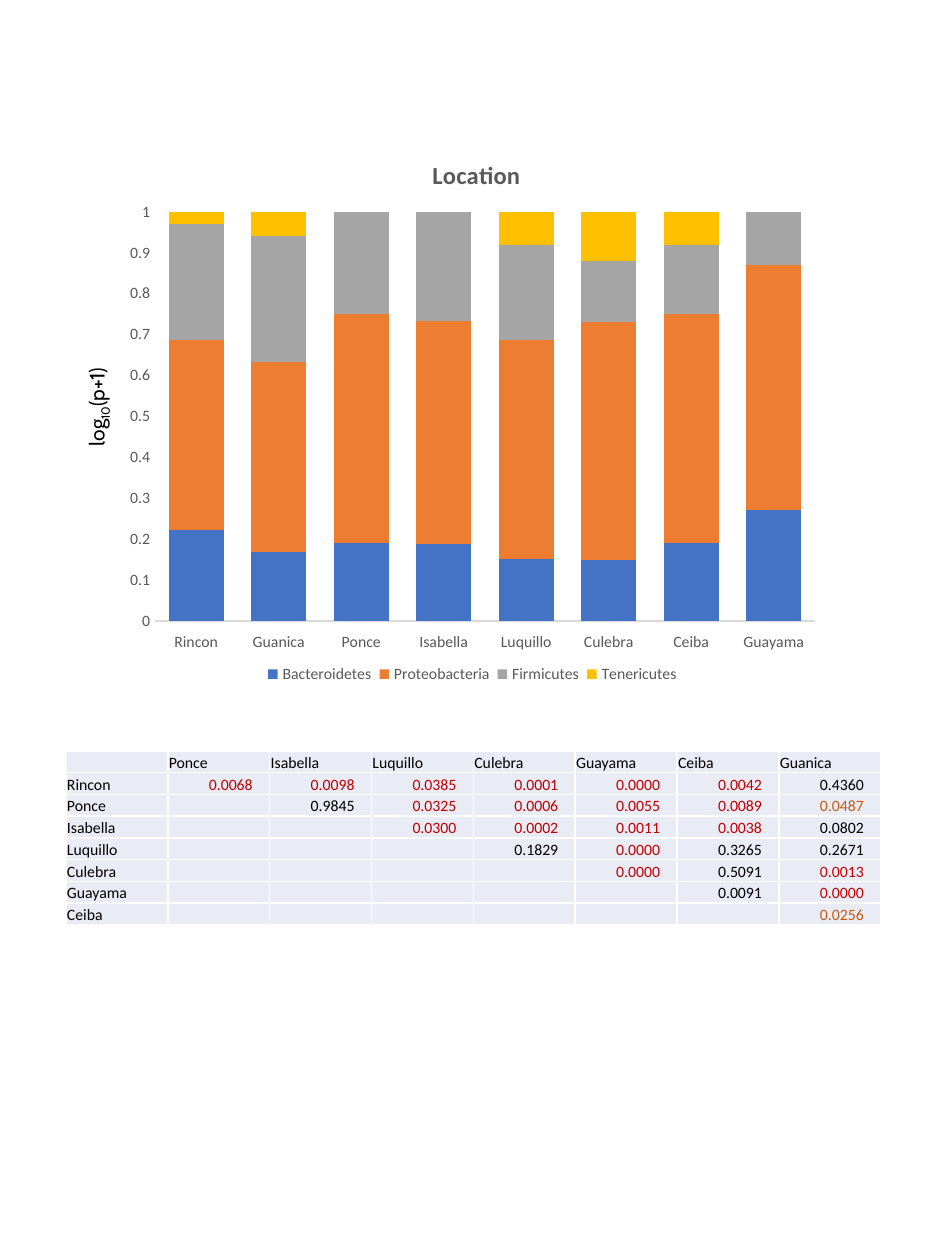
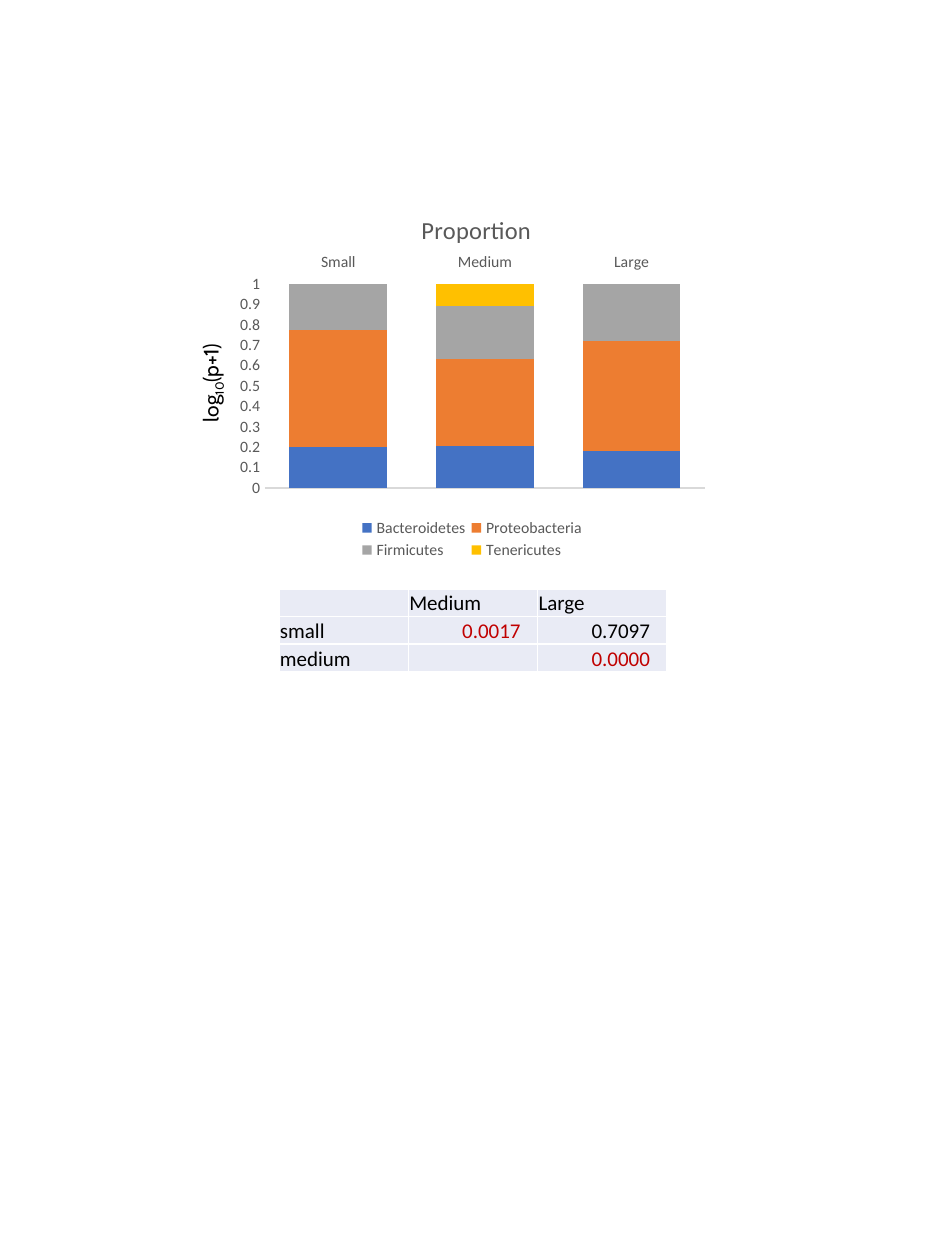
from dataclasses import dataclass

from lxml import etree
from pptx import Presentation
from pptx.chart.data import CategoryChartData
from pptx.dml.color import RGBColor
from pptx.enum.chart import XL_CHART_TYPE, XL_LEGEND_POSITION, XL_TICK_LABEL_POSITION, XL_TICK_MARK
from pptx.enum.text import MSO_ANCHOR, PP_ALIGN
from pptx.oxml.ns import qn
from pptx.util import Emu, Pt

STACKED = XL_CHART_TYPE.COLUMN_STACKED_100
BOTTOM = XL_LEGEND_POSITION.BOTTOM
LABELS_HIGH, LABELS_LOW = XL_TICK_LABEL_POSITION.HIGH, XL_TICK_LABEL_POSITION.LOW
NO_TICK = XL_TICK_MARK.NONE
ANCHOR_BOTTOM, ANCHOR_TOP = MSO_ANCHOR.BOTTOM, MSO_ANCHOR.TOP
LEFT, RIGHT = PP_ALIGN.LEFT, PP_ALIGN.RIGHT


@dataclass(frozen=True)
class Theme:
    font: str = "Calibri"
    measure_font: str = "Cabin"
    ink: str = "000000"
    muted: str = "595959"
    axis: str = "D9D9D9"
    cell: str = "E9EBF5"
    border: str = "FFFFFF"
    strong: str = "C00000"
    weak: str = "C55A11"
    phyla: tuple = ("4472C4", "ED7D31", "A5A5A5", "FFC000")
    title_size: int = 14
    label_size: int = 9
    measure_size: int = 12


THEME = Theme()
EMU_PER_PIXEL = 914400 / 126
PAGE = (945, 1260)
NUMBER_INSET = 17

PHYLA = ("Bacteroidetes", "Proteobacteria", "Firmicutes", "Tenericutes")
MEASURE = (("log", 0), ("10", -25), ("(p+1)", 0))
MARKS = {"*": THEME.strong, "~": THEME.weak}

PAGES = [
    {
        "title": "Location",
        "bold": True,
        "groups": ("Rincon", "Guanica", "Ponce", "Isabella",
                   "Luquillo", "Culebra", "Ceiba", "Guayama"),
        "shares": (
            (22, 17, 19, 19, 15, 15, 19, 27),
            (46, 47, 56, 55, 53, 58, 56, 60),
            (28, 31, 25, 27, 23, 15, 17, 13),
            (3, 6, 0, 0, 8, 12, 8, 0),
        ),
        "labels": LABELS_LOW,
        "chart": (116, 129, 713, 564),
        "plot": (155, 212, 660, 409),
        "heading": (428, 154),
        "legend": (260, 667, 425, 22),
        "measure": (38, 381, 117, 38),
        "table": (66, 751, 815, 174),
        "table_size": 9,
        "p_columns": ("Ponce", "Isabella", "Luquillo", "Culebra", "Guayama", "Ceiba", "Guanica"),
        "p_rows": (
            ("Rincon", "0.0068*", "0.0098*", "0.0385*", "0.0001*", "0.0000*", "0.0042*", "0.4360"),
            ("Ponce", "0.9845", "0.0325*", "0.0006*", "0.0055*", "0.0089*", "0.0487~"),
            ("Isabella", "0.0300*", "0.0002*", "0.0011*", "0.0038*", "0.0802"),
            ("Luquillo", "0.1829", "0.0000*", "0.3265", "0.2671"),
            ("Culebra", "0.0000*", "0.5091", "0.0013*"),
            ("Guayama", "0.0091", "0.0000*"),
            ("Ceiba", "0.0256~"),
        ),
    },
    {
        "title": "Proportion",
        "bold": False,
        "groups": ("Small", "Medium", "Large"),
        "shares": ((20, 21, 18), (58, 43, 54), (23, 26, 28), (0, 11, 0)),
        "labels": LABELS_HIGH,
        "chart": (231, 186, 484, 378),
        "plot": (265, 284, 440, 204),
        "heading": (417, 209),
        "legend": (356, 515, 232, 48),
        "measure": (152, 357, 117, 38),
        "table": (279, 589, 388, 83),
        "table_size": 12,
        "p_columns": ("Medium", "Large"),
        "p_rows": (("small", "0.0017*", "0.7097"), ("medium", "0.0000*")),
    },
]


def px(value):
    return Emu(round(value * EMU_PER_PIXEL))


def box(area):
    return [px(value) for value in area]


def style(font, size, color, name=THEME.font, bold=False):
    font.size, font.name, font.bold = Pt(size), name, bold
    font.color.rgb = RGBColor.from_string(color)


def place_part(chart, part, after, area, frame):
    owner = chart.element.find(".//" + qn("c:" + part))
    old = owner.find(qn("c:layout"))
    if old is not None:
        owner.remove(old)
    layout = etree.Element(qn("c:layout"))
    manual = etree.SubElement(layout, qn("c:manualLayout"))
    settings = [("layoutTarget", "inner")] if part == "plotArea" else []
    settings += [("xMode", "edge"), ("yMode", "edge")]
    left, top, width, height = frame
    fractions = ((area[0] - left) / width, (area[1] - top) / height,
                 *(size / whole for size, whole in zip(area[2:], (width, height))))
    settings += [(key, f"{value:.4f}") for key, value in zip("xywh", fractions)]
    for key, value in settings:
        etree.SubElement(manual, qn("c:" + key)).set("val", value)
    if after:
        owner.find(qn("c:" + after)).addnext(layout)
    else:
        owner.insert(0, layout)


def add_shares(slide, page):
    data = CategoryChartData()
    data.categories = page["groups"]
    for phylum, shares in zip(PHYLA, page["shares"]):
        data.add_series(phylum, shares)
    chart = slide.shapes.add_chart(STACKED, *box(page["chart"]), data).chart
    style(chart.font, THEME.label_size, THEME.muted)

    chart.has_title = True
    heading = chart.chart_title.text_frame.paragraphs[0].add_run()
    heading.text = page["title"]
    style(heading.font, THEME.title_size, THEME.muted, bold=page["bold"])
    chart.chart_title.include_in_layout = False

    bars = chart.plots[0]
    bars.gap_width, bars.overlap, bars.vary_by_categories = 50, 100, False
    for series, color in zip(bars.series, THEME.phyla):
        series.format.fill.solid()
        series.format.fill.fore_color.rgb = RGBColor.from_string(color)

    for axis in (chart.category_axis, chart.value_axis):
        axis.major_tick_mark = axis.minor_tick_mark = NO_TICK
        axis.has_major_gridlines = False
        style(axis.tick_labels.font, THEME.label_size, THEME.muted)
    chart.category_axis.tick_label_position = page["labels"]
    chart.category_axis.format.line.color.rgb = RGBColor.from_string(THEME.axis)
    chart.category_axis.format.line.width = Pt(0.75)
    chart.value_axis.format.line.fill.background()
    chart.value_axis.tick_labels.number_format = "General"
    chart.value_axis.tick_labels.number_format_is_linked = False

    chart.has_legend = True
    chart.legend.position = BOTTOM
    chart.legend.include_in_layout = False
    style(chart.legend.font, THEME.label_size, THEME.muted)
    place_part(chart, "title", "tx", page["heading"], page["chart"])
    place_part(chart, "plotArea", None, page["plot"], page["chart"])
    place_part(chart, "legend", "legendPos", page["legend"], page["chart"])


def add_borders(cell):
    properties = cell._tc.get_or_add_tcPr()
    for side in ("lnL", "lnR", "lnT", "lnB"):
        line = etree.SubElement(properties, qn("a:" + side), w=str(Pt(1)))
        fill = etree.SubElement(line, qn("a:solidFill"))
        etree.SubElement(fill, qn("a:srgbClr"), val=THEME.border)


def fill_cell(cell, entry, size, numeric):
    add_borders(cell)
    cell.fill.solid()
    cell.fill.fore_color.rgb = RGBColor.from_string(THEME.cell)
    cell.vertical_anchor = ANCHOR_BOTTOM
    cell.margin_left = cell.margin_top = px(1)
    cell.margin_right = px(NUMBER_INSET if numeric else 1)
    cell.margin_bottom = 0
    paragraph = cell.text_frame.paragraphs[0]
    paragraph.alignment = RIGHT if numeric else LEFT
    if entry:
        run = paragraph.add_run()
        run.text = entry.rstrip("*~")
        style(run.font, size, MARKS.get(entry[-1], THEME.ink))
    else:
        etree.SubElement(paragraph._p, qn("a:endParaRPr"), sz=str(size * 100))


def add_p_values(slide, page):
    columns = ("", *page["p_columns"])
    count = len(columns)
    rows = [columns] + [(name, *[""] * (count - 1 - len(values)), *values)
                        for name, *values in page["p_rows"]]
    table = slide.shapes.add_table(len(rows), count, *box(page["table"])).table
    table.first_row = table.horz_banding = False
    for column in table.columns:
        column.width = px(page["table"][2] / count)
    for row in table.rows:
        row.height = px(page["table"][3] / len(rows))
    for r, entries in enumerate(rows):
        for c, entry in enumerate(entries):
            fill_cell(table.cell(r, c), entry, page["table_size"], r > 0 and c > 0)


def add_measure(slide, page):
    measure = slide.shapes.add_textbox(*box(page["measure"]))
    measure.rotation = 270
    measure.text_frame.word_wrap = False
    measure.text_frame.vertical_anchor = ANCHOR_TOP
    for text, baseline in MEASURE:
        run = measure.text_frame.paragraphs[0].add_run()
        run.text = text
        style(run.font, THEME.measure_size, THEME.ink, THEME.measure_font)
        if baseline:
            run.font._element.set("baseline", str(baseline * 1000))


deck = Presentation()
deck.slide_width, deck.slide_height = box(PAGE)
blank = deck.slide_layouts[6]
for page in PAGES:
    slide = deck.slides.add_slide(blank)
    add_shares(slide, page)
    add_p_values(slide, page)
    add_measure(slide, page)
deck.save("out.pptx")
